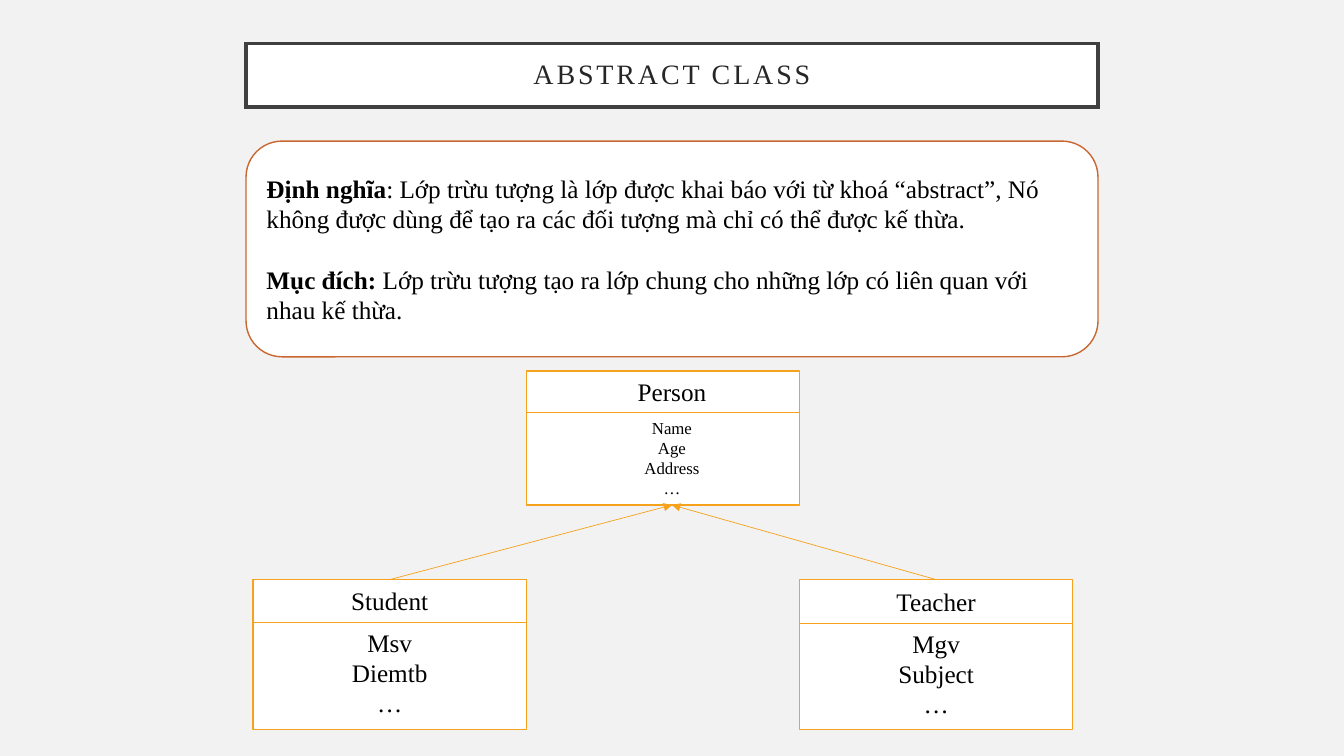
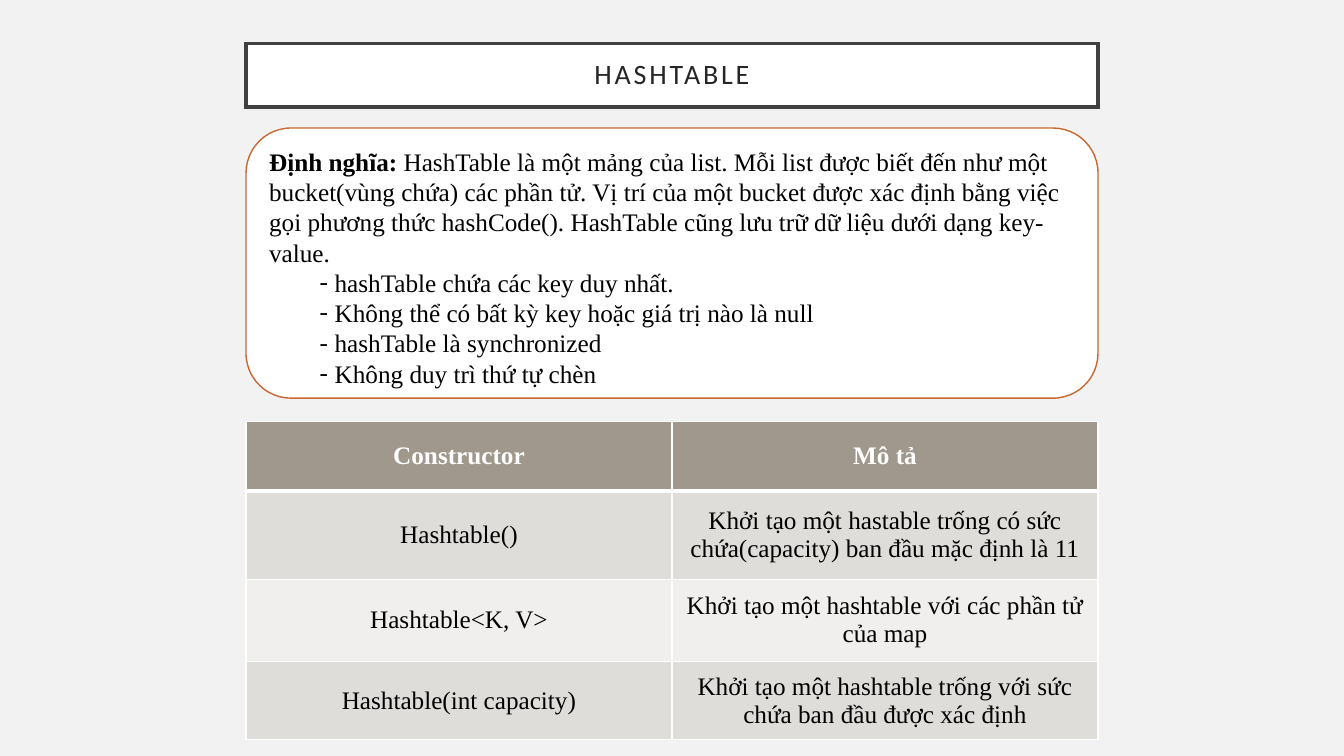
from lxml import etree
from pptx import Presentation
from pptx.dml.color import RGBColor
from pptx.enum.shapes import MSO_CONNECTOR, MSO_SHAPE
from pptx.enum.text import MSO_ANCHOR, MSO_AUTO_SIZE, PP_ALIGN
from pptx.oxml.ns import qn
from pptx.util import Inches, Pt

LINE = MSO_CONNECTOR.STRAIGHT
RECT, ROUND = MSO_SHAPE.RECTANGLE, MSO_SHAPE.ROUNDED_RECTANGLE
TOP, MIDDLE = MSO_ANCHOR.TOP, MSO_ANCHOR.MIDDLE
LEFT, CENTER = PP_ALIGN.LEFT, PP_ALIGN.CENTER
NO_FIT = MSO_AUTO_SIZE.NONE

PAPER = RGBColor(0xF2, 0xF2, 0xF2)
WHITE = RGBColor(0xFF, 0xFF, 0xFF)
BLACK = RGBColor(0x00, 0x00, 0x00)
INK = RGBColor(0x26, 0x26, 0x26)
FRAME = RGBColor(0x40, 0x40, 0x40)
RUST = RGBColor(0xC9, 0x67, 0x31)
AMBER = RGBColor(0xF6, 0xA2, 0x1D)
TAUPE = RGBColor(0xA0, 0x98, 0x8C)
BANDS = (RGBColor(0xDF, 0xDD, 0xDA), RGBColor(0xF0, 0xEF, 0xEE))

WIDE, HIGH = 13.33, 7.5
SPAN = 8.45                      # width of title, panel and table
EDGE = (WIDE - SPAN) / 2
COL = 2.71                       # class diagram column
START = 2.51
SERIF, SANS = "Times New Roman", "Calibri"
BODY = {"name": SERIF, "size": Pt(18), "bold": False}
SMALL = {**BODY, "size": Pt(12)}


def apply(item, style):
    for key, value in style.items():
        setattr(item, key, value)


def ink(font, style, color):
    apply(font, style)
    font.color.rgb = color


def paint(shape, edge, width):
    shape.shadow.inherit = False
    shape.fill.solid()
    shape.fill.fore_color.rgb = WHITE
    shape.line.color.rgb = edge
    shape.line.width = Pt(width)


def place(item, *box):
    names = ("left", "top", "width", "height")
    apply(item, {name: Inches(size) for name, size in zip(names, box)})


def block(slide, kind, box, edge):
    shape = slide.shapes.add_shape(kind, *map(Inches, box))
    paint(shape, edge, 1)
    return shape


def rule(slide, start, end, arrow=False):
    line = slide.shapes.add_connector(LINE, *map(Inches, start + end))
    line.line.color.rgb = AMBER
    line.line.width = Pt(0.5)
    props = line._element.spPr
    if arrow:
        etree.SubElement(props.find(qn("a:ln")), qn("a:tailEnd"), type="triangle")
    etree.SubElement(props, qn("a:effectLst"))


def add_para(frame, first, align):
    para = frame.paragraphs[0] if first else frame.add_paragraph()
    para.alignment = align
    return para


def label(slide, lines, box, style, anchor):
    frame = slide.shapes.add_textbox(*map(Inches, box)).text_frame
    apply(frame, {"word_wrap": True, "vertical_anchor": anchor})
    for i, line in enumerate(lines):
        para = add_para(frame, i == 0, CENTER)
        para.text = line
        ink(para.font, style, BLACK)


def head(deck, text, face):
    """Add a slide with its framed title."""
    slide = deck.slides.add_slide(deck.slide_layouts[5])
    title = slide.shapes.title
    place(title, EDGE, 0.43, SPAN, 0.63)
    paint(title, FRAME, 2.5)
    edge = title._element.spPr.find(qn("a:ln"))
    etree.SubElement(edge, qn("a:miter"), lim="800000")
    frame = title.text_frame
    sides = ("left", "top", "right", "bottom")
    apply(frame, {f"margin_{side}": Inches(0.2) for side in sides})
    apply(frame, {"vertical_anchor": MIDDLE, "auto_size": NO_FIT})
    frame.text = text
    para = frame.paragraphs[0]
    apply(para, {"alignment": CENTER, "line_spacing": 0.9})
    run = para.runs[0]
    ink(run.font, {"name": face, "size": Pt(20)}, INK)
    run._r.get_or_add_rPr().set("spc", "200")
    return slide


def panel(slide, top, height, terms, points=(), anchor=MIDDLE):
    """Rounded box: (term, meaning) pairs, then dashed points."""
    shape = block(slide, ROUND, (EDGE, top, SPAN, height), RUST)
    frame = shape.text_frame
    apply(frame, {"word_wrap": True, "vertical_anchor": anchor})
    for i, pair in enumerate(terms):
        para = add_para(frame, i == 0, LEFT)
        if i:
            para.space_before = Pt(21.6)
        for text, bold in zip(pair, (True, False)):
            run = para.add_run()
            run.text = text
            ink(run.font, {**BODY, "bold": bold}, BLACK)
    for point in points:
        para = add_para(frame, False, LEFT)
        props = para._p.get_or_add_pPr()
        props.set("marL", str(Inches(0.65)))
        props.set("indent", str(Inches(-0.15)))
        etree.SubElement(props, qn("a:buFont"), typeface=SERIF)
        etree.SubElement(props, qn("a:buChar"), char="-")
        para.text = point
        ink(para.font, BODY, BLACK)


def entity(slide, col, top, height, bar, name, parts, style=BODY, shift=0):
    """Class box: name above a rule, members below."""
    left = START + col * COL
    block(slide, RECT, (left, top, COL, height), AMBER)
    rule(slide, (left, top + bar), (left + COL, top + bar))
    label(slide, [name], (left + shift, top, COL, bar), BODY, MIDDLE)
    label(slide, parts, (left + shift, top + bar, COL, height - bar), style, TOP)


def border(cell, low):
    props = cell._tc.get_or_add_tcPr()
    for side, width in (("L", 1), ("R", 1), ("T", 1), ("B", low)):
        line = etree.SubElement(props, qn(f"a:ln{side}"), w=str(Pt(width)))
        fill = etree.SubElement(line, qn("a:solidFill"))
        etree.SubElement(fill, qn("a:srgbClr"), val=str(WHITE))


def grid(slide, top, heights, rows):
    box = map(Inches, (EDGE, top, SPAN, sum(heights)))
    table = slide.shapes.add_table(len(rows), len(rows[0]), *box).table
    for r, (height, row) in enumerate(zip(heights, rows)):
        table.rows[r].height = Inches(height)
        first = r == 0
        for c, text in enumerate(row):
            cell = table.cell(r, c)
            border(cell, 3 if first else 1)
            cell.fill.solid()
            cell.fill.fore_color.rgb = TAUPE if first else BANDS[(r - 1) % 2]
            cell.vertical_anchor = MIDDLE
            cell.text = text
            para = cell.text_frame.paragraphs[0]
            para.alignment = CENTER
            ink(para.font, {**BODY, "bold": first}, WHITE if first else BLACK)


def draw_class(deck):
    slide = head(deck, "ABSTRACT CLASS", SERIF)
    panel(slide, 1.4, 2.14, [
        ("Định nghĩa", ": Lớp trừu tượng là lớp được khai báo với từ khoá “abstract”, "
         "Nó không được dùng để tạo ra các đối tượng mà chỉ có thể được kế thừa."),
        ("Mục đích: ", "Lớp trừu tượng tạo ra lớp chung cho những lớp "
         "có liên quan với nhau kế thừa."),
    ])
    base, row = 3.68, 5.75
    tall = 1.33
    entity(slide, 1, base, tall, 0.41, "Person",
           ["Name", "Age", "Address", "…"], SMALL, 0.09)
    entity(slide, 0, row, 1.49, 0.42, "Student", ["Msv", "Diemtb", "…"])
    entity(slide, 2, row, 1.49, 0.43, "Teacher", ["Mgv", "Subject", "…"])
    for col in (0, 2):
        rule(slide, (START + (col + 0.5) * COL, row), (WIDE / 2, base + tall), True)


def draw_table(deck):
    slide = head(deck, "HASHTABLE", SANS)
    panel(slide, 1.27, 2.68, [
        ("Định nghĩa: ", "HashTable là một mảng của list. Mỗi list được biết đến như "
         "một bucket(vùng chứa) các phần tử. Vị trí của một bucket được xác định bằng "
         "việc gọi phương thức hashCode(). HashTable cũng lưu trữ dữ liệu dưới dạng "
         "key-value."),
    ], [
        "hashTable chứa các key duy nhất.",
        "Không thể có bất kỳ key hoặc giá trị nào là null",
        "hashTable là synchronized",
        "Không duy trì thứ tự chèn",
    ], TOP)
    grid(slide, 4.18, (0.69, 0.88, 0.81, 0.78), [
        ("Constructor", "Mô tả"),
        ("Hashtable()",
         "Khởi tạo một hastable trống có sức chứa(capacity) ban đầu mặc định là 11"),
        ("Hashtable<K, V>", "Khởi tạo một hashtable với các phần tử của map"),
        ("Hashtable(int capacity)",
         "Khởi tạo một hashtable trống với sức chứa ban đầu được xác định"),
    ])


def main():
    deck = Presentation()
    deck.slide_width, deck.slide_height = Inches(WIDE), Inches(HIGH)
    back = deck.slide_master.background.fill
    back.solid()
    back.fore_color.rgb = PAPER
    draw_class(deck)
    draw_table(deck)
    deck.save("out.pptx")


if __name__ == "__main__":
    main()
